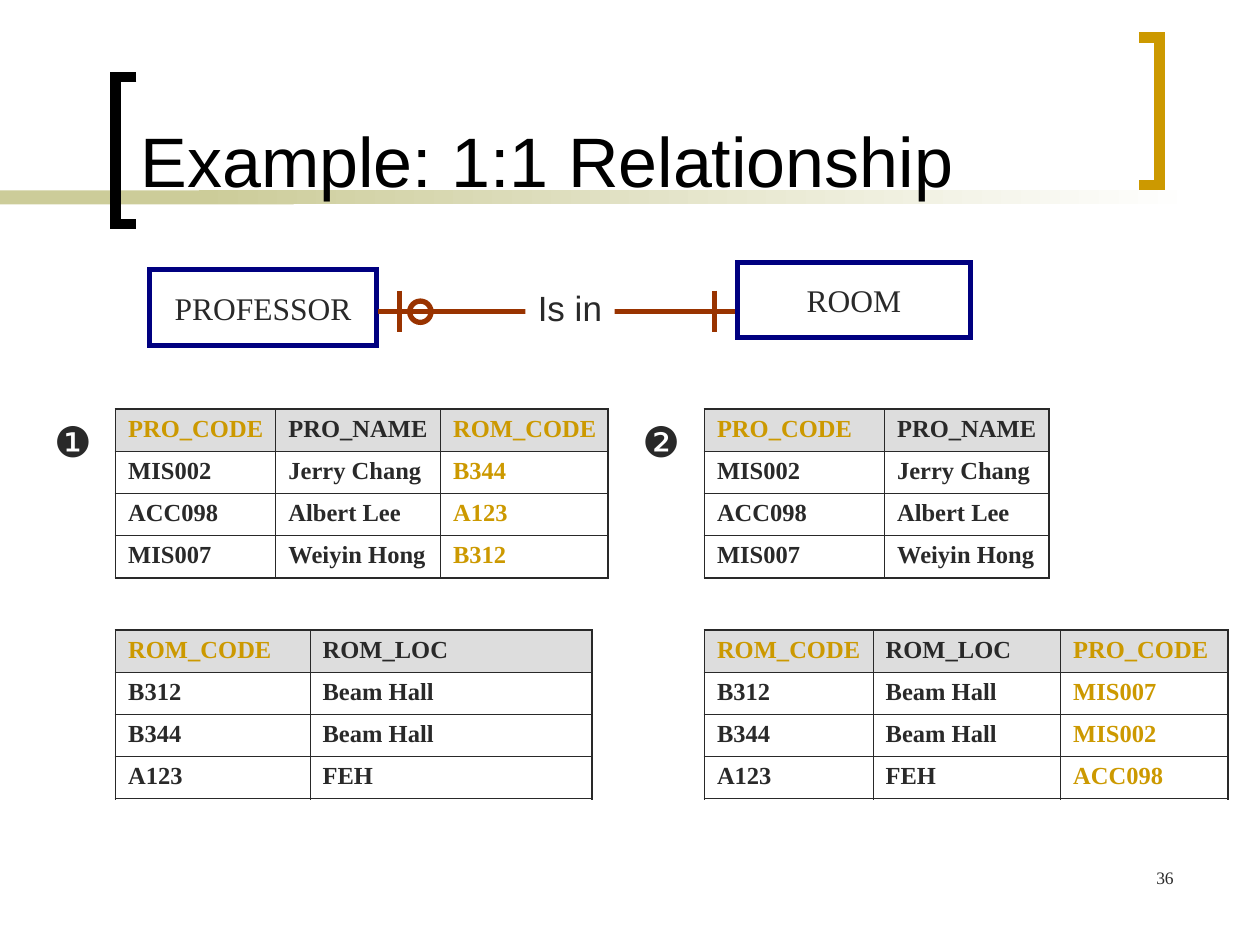
from lxml.etree import SubElement
from pptx import Presentation
from pptx.dml.color import RGBColor
from pptx.enum.shapes import MSO_CONNECTOR, MSO_SHAPE
from pptx.enum.text import MSO_ANCHOR, PP_ALIGN
from pptx.oxml.ns import qn
from pptx.util import Cm, Pt

INK = "292929"
GOLD = "CC9900"
NAVY = "000080"
RUST = "993300"
KHAKI = "CCCC99"
SERIF = "Times New Roman"
ROW_HEIGHT = 0.85

PROFESSORS = [
    ("MIS002", "Jerry Chang"),
    ("ACC098", "Albert Lee"),
    ("MIS007", "Weiyin Hong"),
]
ROOMS = [("B312", "Beam Hall"), ("B344", "Beam Hall"), ("A123", "FEH")]
ROOM_OF = {"MIS002": "B344", "ACC098": "A123", "MIS007": "B312"}
OCCUPANT_OF = {room: professor for professor, room in ROOM_OF.items()}


def rgb(hex_code):
    return RGBColor.from_string(hex_code)


def write(frame, text, size, font=SERIF, color=INK, bold=False,
          align=PP_ALIGN.LEFT, anchor=MSO_ANCHOR.TOP):
    frame.text = text
    frame.vertical_anchor = anchor
    style_paragraph(frame.paragraphs[0], size, font, color, bold, align)


def style_paragraph(paragraph, size, font, color, bold, align):
    paragraph.alignment = align
    for run in paragraph.runs:
        run.font.size = Pt(size)
        run.font.name = font
        run.font.bold = bold
        run.font.color.rgb = rgb(color)


def set_outline(shape, color, width):
    shape.line.color.rgb = rgb(color)
    shape.line.width = Pt(width)
    SubElement(shape.element.spPr.find(qn("a:ln")), qn("a:miter"), lim="800000")


def add_block(slide, kind, left, top, width, height, fill=None, line=None):
    block = slide.shapes.add_shape(kind, Cm(left), Cm(top), Cm(width), Cm(height))
    block.shadow.inherit = False
    if fill:
        block.fill.solid()
        block.fill.fore_color.rgb = rgb(fill)
    else:
        block.fill.background()
    if line:
        set_outline(block, line, 3)
    else:
        block.line.fill.background()
    return block


def add_label(slide, text, left, top, width, height, size, font, align=PP_ALIGN.LEFT):
    label = slide.shapes.add_textbox(Cm(left), Cm(top), Cm(width), Cm(height))
    label.text_frame.word_wrap = True
    write(label.text_frame, text, size, font, align=align)


def add_bracket(slide, spine, tip, top, color):
    bottom = top + 2.97
    builder = slide.shapes.build_freeform(Cm(tip), Cm(top), scale=1.0)
    corners = [(spine, top), (spine, bottom), (tip, bottom)]
    builder.add_line_segments([(Cm(x), Cm(y)) for x, y in corners], close=False)
    bracket = builder.convert_to_shape()
    bracket.shadow.inherit = False
    bracket.fill.background()
    set_outline(bracket, color, 6)


def add_line(slide, x1, y1, x2, y2):
    line = slide.shapes.add_connector(
        MSO_CONNECTOR.STRAIGHT, Cm(x1), Cm(y1), Cm(x2), Cm(y2))
    line.line.color.rgb = rgb(RUST)
    line.line.width = Pt(3)
    SubElement(line.element.spPr, qn("a:effectLst"))


def set_borders(cell, outer_sides):
    properties = cell._tc.get_or_add_tcPr()
    for side in "LRTB":
        width = Pt(1.08) if side in outer_sides else Pt(0.45)
        border = SubElement(properties, qn(f"a:ln{side}"), w=str(width))
        fill = SubElement(border, qn("a:solidFill"))
        SubElement(fill, qn("a:srgbClr"), val=INK)


def add_relation(slide, left, top, widths, header, records, foreign_key=None):
    rows = [header, *records]
    last_row, last_column = len(rows) - 1, len(header) - 1
    table = slide.shapes.add_table(
        len(rows), len(header), Cm(left), Cm(top),
        Cm(sum(widths)), Cm(ROW_HEIGHT * len(rows))).table
    table.first_row = table.horz_banding = False
    for column, width in zip(table.columns, widths):
        column.width = Cm(width)
    for r, values in enumerate(rows):
        table.rows[r].height = Cm(ROW_HEIGHT)
        for c, value in enumerate(values):
            cell = table.cell(r, c)
            cell.margin_right = Cm(0.1)
            edges = {"L": c == 0, "R": c == last_column, "T": r == 0, "B": r == last_row}
            set_borders(cell, [side for side, outer in edges.items() if outer])
            if r == 0:
                cell.fill.solid()
                cell.fill.fore_color.rgb = rgb("DDDDDD")
            else:
                cell.fill.background()
            is_key = header[c] == foreign_key or (r == 0 and c == 0)
            cell.text = value
            style_paragraph(cell.text_frame.paragraphs[0], 14, SERIF,
                            GOLD if is_key else INK, True, PP_ALIGN.LEFT)


def add_heading(slide):
    add_block(slide, MSO_SHAPE.RECTANGLE, 0, 3.84, 5.92, 0.28, fill=KHAKI)
    fading_band = add_block(slide, MSO_SHAPE.RECTANGLE, 4.01, 3.84, 20.12, 0.28)
    fading_band.fill.gradient()
    fading_band.fill.gradient_angle = 0
    for stop, color in zip(fading_band.fill.gradient_stops, (KHAKI, "FFFFFF")):
        stop.color.rgb = rgb(color)
    add_bracket(slide, 2.33, 2.75, 1.55, "000000")
    add_bracket(slide, 23.37, 22.96, 0.76, GOLD)
    title = slide.shapes.title
    title.left, title.top, title.width, title.height = Cm(2.58), Cm(0.25), Cm(19.89), Cm(3.94)
    write(title.text_frame, "Example: 1:1 Relationship", 40, "Arial", "000000",
          anchor=MSO_ANCHOR.BOTTOM)
    title.element.getparent().append(title.element)


def add_diagram(slide):
    for entity, left, top, width in (("PROFESSOR", 3.02, 5.44, 4.57),
                                     ("ROOM", 14.87, 5.29, 4.69)):
        box = add_block(slide, MSO_SHAPE.RECTANGLE, left, top, width, 1.52, line=NAVY)
        box.text_frame.word_wrap = False
        write(box.text_frame, entity, 18, align=PP_ALIGN.CENTER, anchor=MSO_ANCHOR.MIDDLE)
    add_line(slide, 7.62, 6.28, 14.81, 6.28)
    for tick in (8.05, 14.4):
        add_line(slide, tick, 5.86, tick, 6.7)
    add_block(slide, MSO_SHAPE.OVAL, 8.26, 6.07, 0.43, 0.43, line=RUST)
    verb = add_block(slide, MSO_SHAPE.RECTANGLE, 10.59, 5.64, 1.8, 1.12, fill="FFFFFF")
    verb.text_frame.word_wrap = False
    write(verb.text_frame, "Is in", 20, "Arial",
          align=PP_ALIGN.CENTER, anchor=MSO_ANCHOR.MIDDLE)


def add_solutions(slide):
    left, right, upper, lower = 2.33, 14.2, 8.25, 12.7
    professor, room = ("PRO_CODE", "PRO_NAME"), ("ROM_CODE", "ROM_LOC")
    housed = [(code, name, ROOM_OF[code]) for code, name in PROFESSORS]
    occupied = [(code, place, OCCUPANT_OF[code]) for code, place in ROOMS]
    add_relation(slide, left, upper, (3.23, 3.32, 3.38),
                 (*professor, "ROM_CODE"), housed, "ROM_CODE")
    add_relation(slide, left, lower, (3.92, 5.68), room, ROOMS)
    add_relation(slide, right, lower, (3.4, 3.78, 3.38),
                 (*room, "PRO_CODE"), occupied, "PRO_CODE")
    add_relation(slide, right, upper, (3.63, 3.32), professor, PROFESSORS)
    for number, x in (("❶", 0.84), ("❷", 12.7)):
        add_label(slide, number, x, upper, 1.27, 1.27, 24, "Arial")


def main():
    deck = Presentation()
    deck.slide_width, deck.slide_height = Cm(25.4), Cm(19.05)
    slide = deck.slides.add_slide(deck.slide_layouts[5])
    add_heading(slide)
    add_diagram(slide)
    add_solutions(slide)
    add_label(slide, "36", 18.63, 17.35, 5.28, 1.27, 10, SERIF, PP_ALIGN.RIGHT)
    deck.save("out.pptx")


if __name__ == "__main__":
    main()
